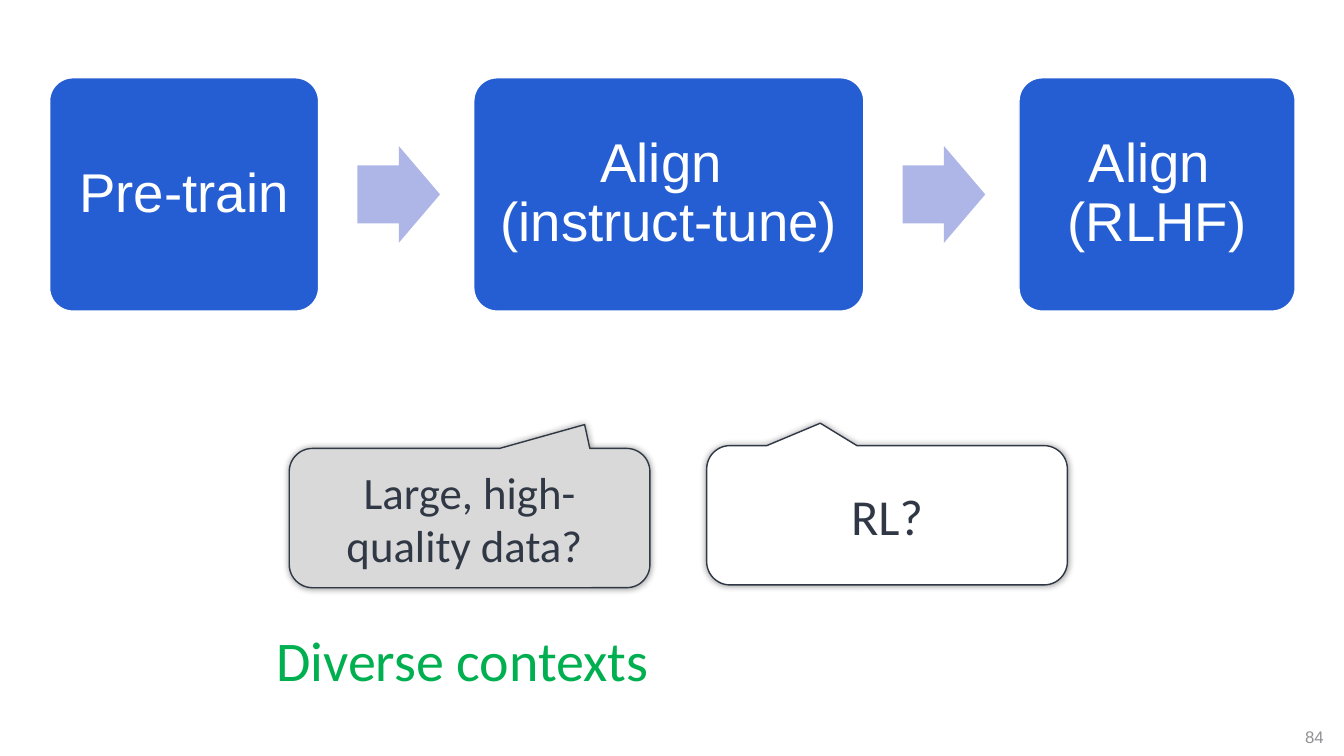
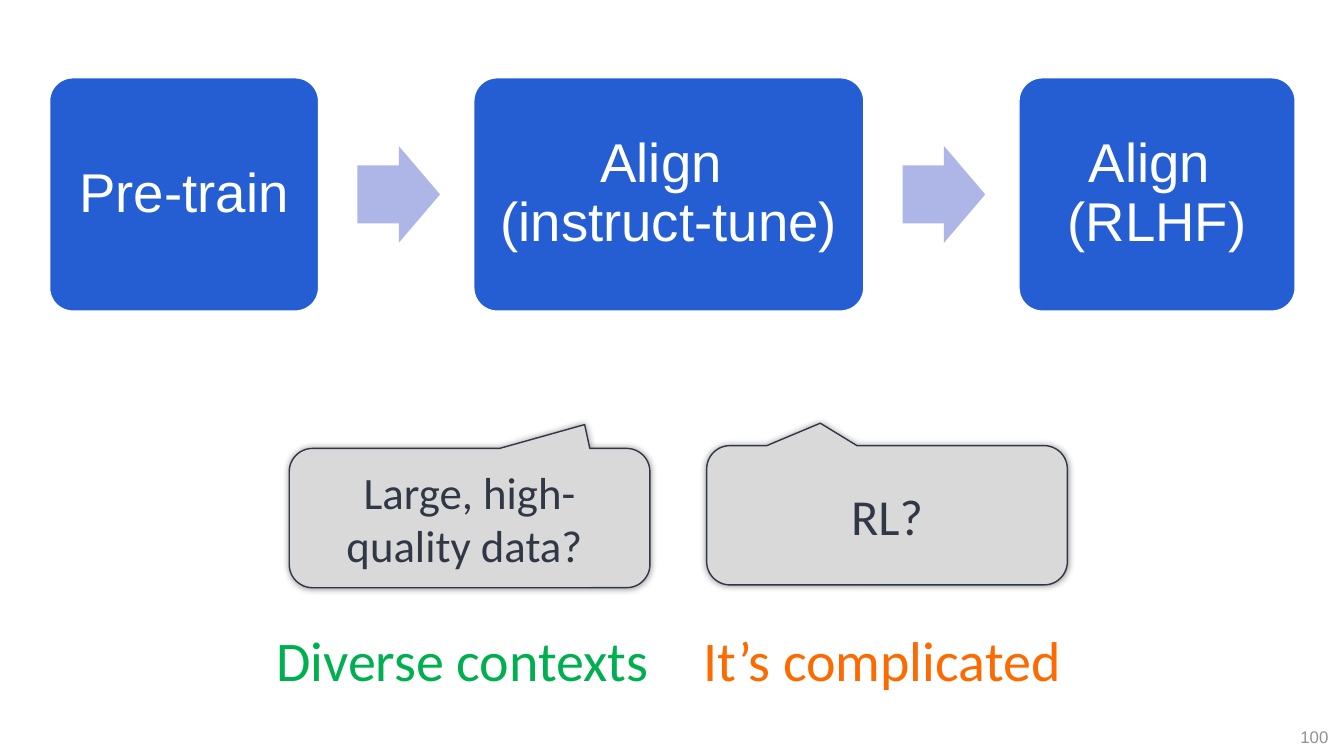
"""Build two slides on the stages of training and the questions they raise."""
import lxml.etree
import pptx
import pptx.dml.color
import pptx.enum.shapes
import pptx.enum.text
import pptx.oxml
import pptx.oxml.ns
import pptx.util

Cm = pptx.util.Cm
Pt = pptx.util.Pt
SHAPES = pptx.enum.shapes.MSO_SHAPE
CENTER = pptx.enum.text.PP_ALIGN.CENTER
LEFT = pptx.enum.text.PP_ALIGN.LEFT
MIDDLE = pptx.enum.text.MSO_ANCHOR.MIDDLE
TOP = pptx.enum.text.MSO_ANCHOR.TOP
FIT_TEXT = pptx.enum.text.MSO_AUTO_SIZE.SHAPE_TO_FIT_TEXT

BLUE, PALE_BLUE, WHITE, GREY = "255ED3", "ADB6E6", "FFFFFF", "D9D9D9"
INK, GREEN, ORANGE, NUMBER_GREY = "303845", "00B050", "FC6A00", "8F9194"

SHADOW = (
    f'<a:effectLst {pptx.oxml.ns.nsdecls("a")}>'
    '<a:outerShdw blurRad="63500" dist="0" dir="0" algn="ctr" rotWithShape="0">'
    '<a:srgbClr val="000000"><a:alpha val="40000"/></a:srgbClr>'
    '</a:outerShdw></a:effectLst>'
)

STAGES = [("Pre-train", 6.78), ("Align \v(instruct-tune)", 9.83), ("Align \v(RLHF)", 6.96)]
STAGE_LEFT, STAGE_TOP, STAGE_HEIGHT, STAGE_GAP = 1.25, 1.96, 5.88, 3.91
ARROW_WIDTH, ARROW_HEIGHT, ARROW_OFFSET = 2.08, 2.44, 0.98

DIVERSE = ("Diverse contexts", 6.71, 10.26, GREEN)
COMPLICATED = ("It’s complicated", 17.48, 9.75, ORANGE)
PAGES = [
    ("84", WHITE, [DIVERSE]),
    ("100", GREY, [COMPLICATED, DIVERSE]),
]


def write(box, text, size, font, color, align=CENTER, **frame_format):
    frame = box.text_frame
    for name, value in {"word_wrap": True, "vertical_anchor": MIDDLE, **frame_format}.items():
        setattr(frame, name, value)
    para = frame.paragraphs[0]
    para.text = text
    para.alignment = align
    for span in para.runs:
        for name, value in {"size": Pt(size), "name": font}.items():
            setattr(span.font, name, value)
        span.font.color.rgb = pptx.dml.color.RGBColor.from_string(color)
    return para


def add_box(page, kind, place, fill, line, adjustments):
    box = page.shapes.add_shape(kind, *map(Cm, place))
    box.shadow.inherit = False
    box.fill.solid()
    box.fill.fore_color.rgb = pptx.dml.color.RGBColor.from_string(fill)
    if line:
        box.line.color.rgb = pptx.dml.color.RGBColor.from_string(line)
        box.line.width = Pt(1)
    else:
        box.line.fill.background()
    for index, value in enumerate(adjustments):
        box.adjustments[index] = value
    return box


deck = pptx.Presentation()
deck.slide_width, deck.slide_height = Cm(33.87), Cm(19.05)
blank_layout = deck.slide_layouts[6]

for number, reward_fill, answers in PAGES:
    page = deck.slides.add_slide(blank_layout)
    number_box = page.shapes.add_textbox(Cm(32.39), Cm(18.06), Cm(1.47), Cm(1.02))
    write(number_box, number, 12, "Arial", NUMBER_GREY)

    left = STAGE_LEFT
    for index, (stage, width) in enumerate(STAGES):
        if index:
            arrow_left = left - STAGE_GAP + ARROW_OFFSET
            arrow_top = STAGE_TOP + (STAGE_HEIGHT - ARROW_HEIGHT) / 2
            add_box(page, SHAPES.RIGHT_ARROW, (arrow_left, arrow_top, ARROW_WIDTH, ARROW_HEIGHT),
                    PALE_BLUE, None, (0.6, 0.5))
        stage_box = add_box(page, SHAPES.ROUNDED_RECTANGLE, (left, STAGE_TOP, width, STAGE_HEIGHT),
                            BLUE, WHITE, (0.1,))
        margins = {f"margin_{side}": Cm(0.4) for side in ("left", "top", "right", "bottom")}
        para = write(stage_box, stage, 39, "Arial", WHITE, **margins)
        para.line_spacing = 0.9
        left += width + STAGE_GAP

    for question, size, left, top, fill, pointer in [
        ("RL?", 36, 17.81, 11.23, reward_fill, (-0.185, -0.661)),
        ("Large, high-quality data? ", 32, 7.29, 11.3, GREY, (0.319, -0.671)),
    ]:
        callout = add_box(page, SHAPES.ROUNDED_RECTANGULAR_CALLOUT, (left, top, 9.09, 3.51),
                          fill, INK, (*pointer, 0.167))
        properties = callout.element.spPr
        properties.replace(properties.find(pptx.oxml.ns.qn("a:effectLst")),
                           pptx.oxml.parse_xml(SHADOW))
        write(callout, question, size, "Calibri", INK)

    for answer, left, width, color in answers:
        answer_box = page.shapes.add_textbox(Cm(left), Cm(15.65), Cm(width), Cm(1.96))
        write(answer_box, answer, 40, "Calibri", color, LEFT,
              word_wrap=False, vertical_anchor=TOP, auto_size=FIT_TEXT)

deck.save("out.pptx")
